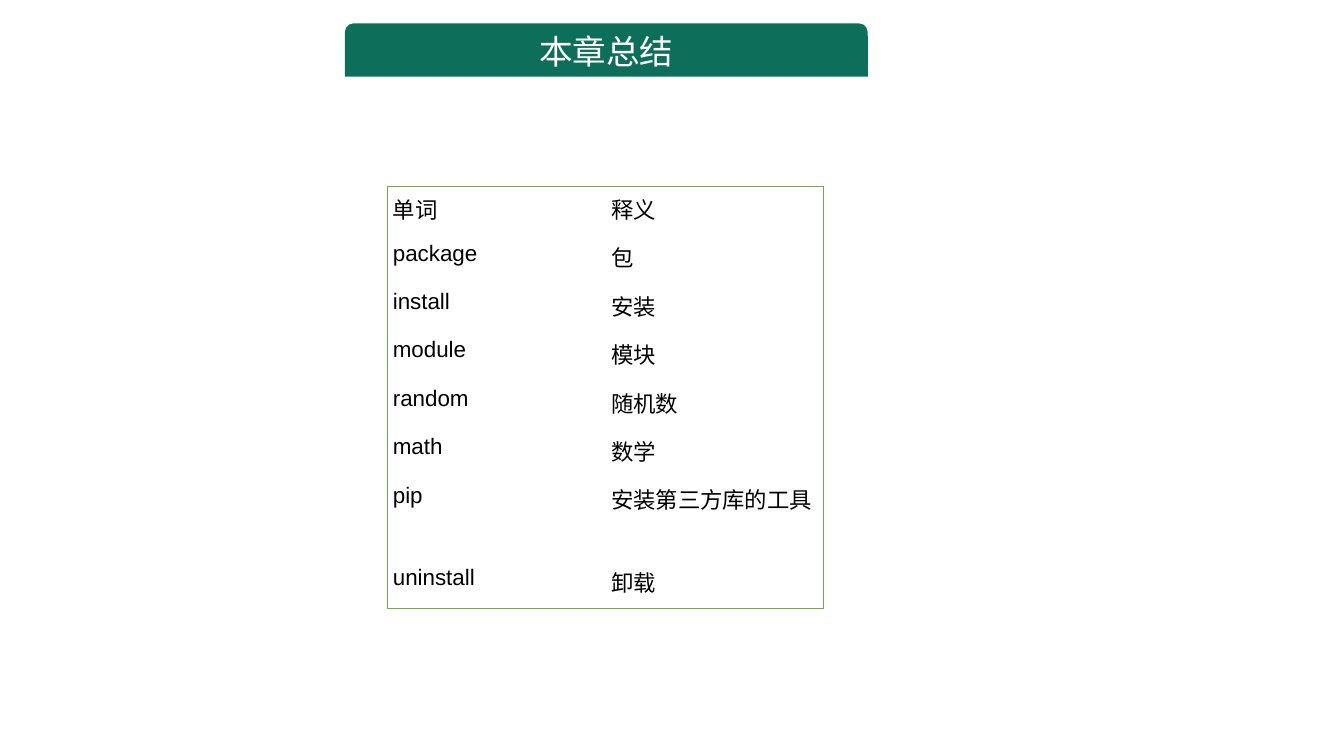
"""Build the chapter summary slide with its glossary table."""
from dataclasses import dataclass

import lxml.etree
import pptx
import pptx.dml.color
import pptx.enum.shapes
import pptx.enum.text
import pptx.oxml.ns
import pptx.util
from pptx.util import Cm

GREEN = pptx.dml.color.RGBColor(0x0D, 0x6E, 0x5A)
BORDER = pptx.dml.color.RGBColor(0x70, 0xAD, 0x47)
WHITE = pptx.dml.color.RGBColor(0xFF, 0xFF, 0xFF)
BLACK = pptx.dml.color.RGBColor(0x00, 0x00, 0x00)
FONT = "Arial"
CELL_MARGIN = Cm(0.15)
ROW_HEIGHT = 1.22
COLUMN_WIDTH = 5.5


@dataclass
class Entry:
    word: str
    meaning: str
    height: float = ROW_HEIGHT


ENTRIES = [
    Entry("单词", "释义"),
    Entry("package", "包"),
    Entry("install", "安装"),
    Entry("module", "模块"),
    Entry("random", "随机数"),
    Entry("math", "数学"),
    Entry("pip", "安装第三方库的工具", 2.08),
    Entry("uninstall", "卸载"),
]


def format_text(frame, size: float, color: pptx.dml.color.RGBColor) -> None:
    for para in frame.paragraphs:
        for span in para.runs:
            span.font.name = FONT
            span.font.size = pptx.util.Pt(size)
            span.font.color.rgb = color


def set_borders(cell, visible: dict[str, bool]) -> None:
    qualify = pptx.oxml.ns.qn
    properties = cell._tc.get_or_add_tcPr()
    for edge, shown in visible.items():
        line = lxml.etree.SubElement(properties, qualify(f"a:ln{edge}"), w=str(pptx.util.Pt(0.5)))
        if shown:
            fill = lxml.etree.SubElement(line, qualify("a:solidFill"))
            lxml.etree.SubElement(fill, qualify("a:srgbClr"), val=str(BORDER))
        else:
            lxml.etree.SubElement(line, qualify("a:noFill"))


def add_title(page, text: str) -> None:
    box = page.shapes.add_shape(
        pptx.enum.shapes.MSO_SHAPE.ROUND_2_SAME_RECTANGLE,
        Cm(8.69), Cm(0.59), Cm(13.18), Cm(1.34),
    )
    box.shadow.inherit = False
    box.fill.solid()
    box.fill.fore_color.rgb = GREEN
    box.line.fill.background()
    frame = box.text_frame
    frame.text = text
    frame.word_wrap = True
    frame.auto_size = pptx.enum.text.MSO_AUTO_SIZE.SHAPE_TO_FIT_TEXT
    frame.paragraphs[0].alignment = pptx.enum.text.PP_ALIGN.CENTER
    format_text(frame, 24, WHITE)


def add_glossary(page, entries: list[Entry]) -> None:
    height = sum(entry.height for entry in entries)
    table = page.shapes.add_table(
        len(entries), 2, Cm(9.75), Cm(4.7), Cm(2 * COLUMN_WIDTH), Cm(height)
    ).table
    table.first_row = False
    table.horz_banding = False
    for column in table.columns:
        column.width = Cm(COLUMN_WIDTH)
    last = len(entries) - 1
    for row, entry in enumerate(entries):
        table.rows[row].height = Cm(entry.height)
        for column, text in enumerate((entry.word, entry.meaning)):
            cell = table.cell(row, column)
            cell.text = text
            cell.margin_left = cell.margin_right = CELL_MARGIN
            cell.margin_top = cell.margin_bottom = CELL_MARGIN
            set_borders(cell, {"L": column == 0, "R": column == 1, "T": row == 0, "B": row == last})
            cell.fill.background()
            format_text(cell.text_frame, 16, BLACK)


def main() -> None:
    deck = pptx.Presentation()
    deck.slide_width = Cm(33.87)
    deck.slide_height = Cm(19.05)
    page = deck.slides.add_slide(deck.slide_layouts[6])
    add_title(page, "本章总结")
    add_glossary(page, ENTRIES)
    deck.save("out.pptx")


if __name__ == "__main__":
    main()
